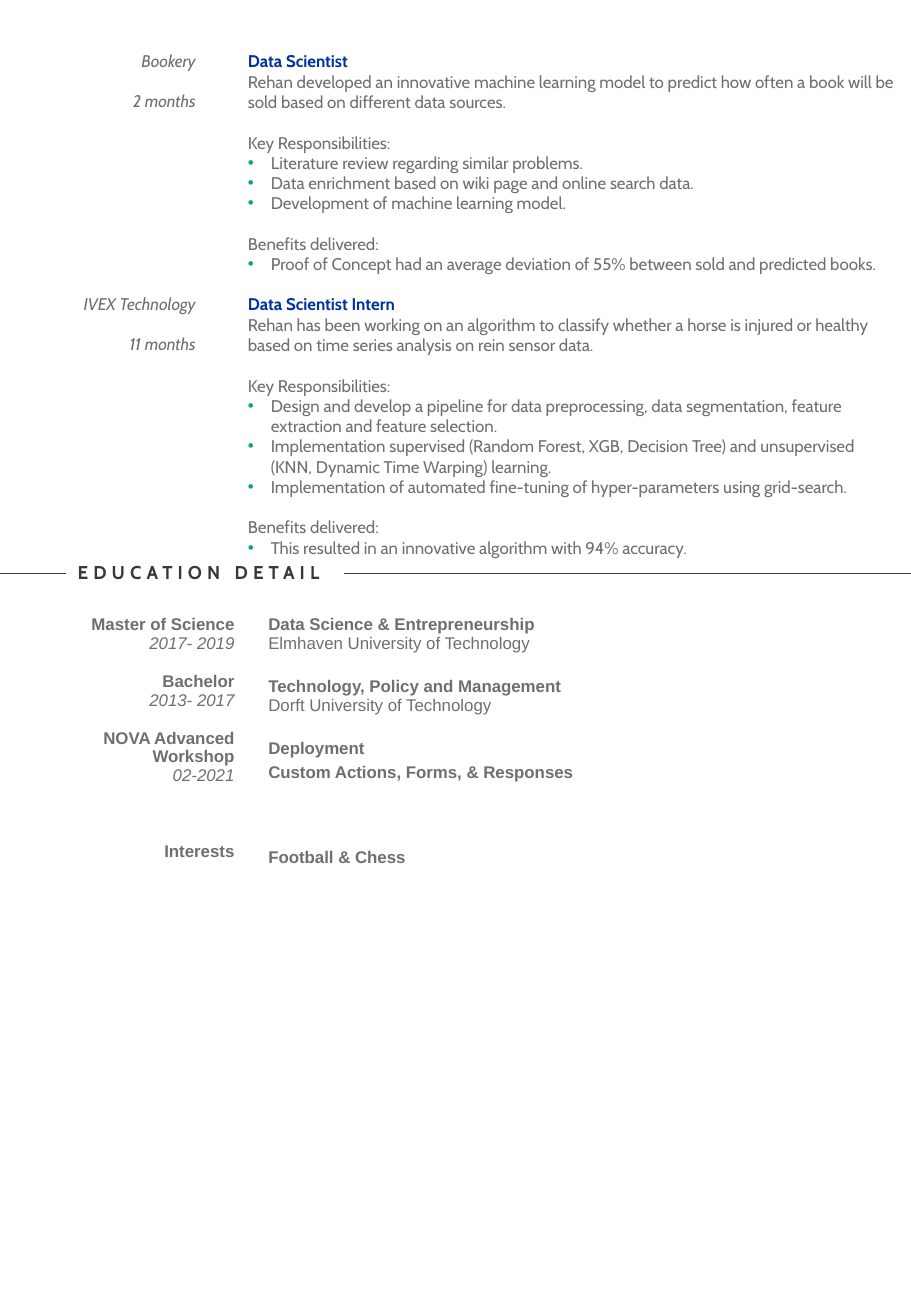
import pptx
import pptx.util
import pptx.dml.color
import pptx.enum.shapes
import pptx.enum.text
import pptx.oxml
import pptx.oxml.ns
from pptx.util import Cm, Pt

# Content
JOBS = [
    {"firm": "Bookery", "time": "2 months", "top": 0.94, "high": 5.38,
     "role": "Data Scientist",
     "about": "Rehan developed an innovative machine learning model to predict "
              "how often a book will be sold based on different data sources.",
     "lists": [
         ("Key Responsibilities:", [
             "Literature review regarding similar problems.",
             "Data enrichment based on wiki page and online search data.",
             "Development of machine learning model."]),
         ("Benefits delivered:", [
             "Proof of Concept had an average deviation of 55% between sold "
             "and predicted books."])]},
    {"firm": "IVEX Technology", "time": "11 months", "top": 6.02, "high": 5.82,
     "role": "Data Scientist Intern",
     "about": "Rehan has been working on an algorithm to classify whether a horse "
              "is injured or healthy based on time series analysis on rein sensor data.",
     "lists": [
         ("Key Responsibilities:", [
             "Design and develop a pipeline for data preprocessing, data "
             "segmentation, feature extraction and feature selection.",
             "Implementation supervised (Random Forest, XGB, Decision Tree) and "
             "unsupervised (KNN, Dynamic Time Warping) learning.",
             "Implementation of automated fine-tuning of hyper-parameters using "
             "grid-search."]),
         ("Benefits delivered:", [
             "This resulted in an innovative algorithm with 94% accuracy."])]},
]
HEAD = "EDUCATION DETAIL"
# Each line: text, style, space before in points
LEFT = [
    ("Master of Science", "bold", 0), ("2017- 2019", "slant", 0),
    ("Bachelor", "bold", 11.2), ("2013- 2017", "slant", 0),
    ("NOVA Advanced Workshop", "bold", 11.2), ("02-2021", "slant", 0),
    ("Interests", "bold", 33.5),
]
RIGHT = [
    ("Data Science & Entrepreneurship", "bold", 0),
    ("Elmhaven University of Technology", "plain", 0),
    ("Technology, Policy and Management", "bold", 14.2),
    ("Dorft University of Technology", "plain", 0),
    ("Deployment", "bold", 14.2),
    ("Custom Actions, Forms, & Responses", "bold", 3),
    ("Football & Chess", "bold", 39.6),
]

# Formats
HEX = {"blue": "0033A0", "gray": "706F6F", "dark": "383838",
       "teal": "00A68B", "white": "FFFFFF"}
BASE = {"size": Pt(10), "bold": False, "italic": False}
CABIN = {**BASE, "name": "Cabin"}
ARIAL = {**BASE, "name": "Arial"}
STYLE = {"plain": {}, "bold": {"bold": True}, "slant": {"italic": True}}
ALIGN = pptx.enum.text.PP_ALIGN
ANCHOR = pptx.enum.text.MSO_ANCHOR
WIDE, HIGH = Cm(19.05), Cm(27.51)
HANG = Cm(0.48)
GAP = 12


def rgb(key):
    return pptx.dml.color.RGBColor.from_string(HEX[key])


def put(item, look):
    for key, val in look.items():
        setattr(item, key, val)


def place(shape, x, y, w, h):
    put(shape, {"left": x, "top": y, "width": w, "height": h})


def xml(tag, tail="/>"):
    return pptx.oxml.parse_xml(f"<a:{tag} {pptx.oxml.ns.nsdecls('a')}{tail}")


def write(frame, text, look, color="gray", before=0, align=ALIGN.LEFT):
    """Fill the first paragraph if it is empty, otherwise add one."""
    para = frame.paragraphs[0]
    if para.runs:
        para = frame.add_paragraph()
    put(para, {"alignment": align, "space_before": Pt(before), "space_after": Pt(0)})
    run = para.add_run()
    run.text = text
    put(run.font, look)
    run.font.color.rgb = rgb(color)
    return para


def mark(para, dot):
    """Give a list paragraph a hanging bullet, or none."""
    props = para._p.get_or_add_pPr()
    props.set("marL", str(HANG if dot else 0))
    props.set("indent", str(-HANG if dot else 0))
    if dot:
        props.append(xml("buClr", f'><a:srgbClr val="{HEX["teal"]}"/></a:buClr>'))
        props.append(xml("buFont", ' typeface="Arial"/>'))
        props.append(xml("buChar", ' char="•"/>'))
    else:
        props.append(xml("buNone"))


def rule(slide, x, end, y):
    line = slide.shapes.add_connector(
        pptx.enum.shapes.MSO_CONNECTOR.STRAIGHT, x, y, end, y)
    line.line.color.rgb = rgb("dark")
    line.line.width = Pt(0.5)
    line._element.spPr.append(xml("effectLst"))
    return line


def side(slide, text, top):
    box = slide.shapes.add_textbox(0, top, Cm(4.34), Cm(0.69))
    box.text_frame.word_wrap = True
    write(box.text_frame, text, {**CABIN, "italic": True}, align=ALIGN.RIGHT)


def work(slide, body, job):
    place(body, Cm(4.93), Cm(job["top"]), Cm(14.12), Cm(job["high"]))
    frame = body.text_frame
    put(frame, {"auto_size": pptx.enum.text.MSO_AUTO_SIZE.NONE,
                "word_wrap": True, "vertical_anchor": ANCHOR.TOP})
    mark(write(frame, job["role"], {**CABIN, "bold": True}, "blue"), False)
    mark(write(frame, job["about"], CABIN), False)
    for name, points in job["lists"]:
        mark(write(frame, name, CABIN, before=GAP), False)
        for point in points:
            mark(write(frame, point, CABIN), True)
    side(slide, job["firm"], Cm(job["top"]))
    side(slide, job["time"], Cm(job["top"] + 0.84))


def study(slide):
    cols, rows = (5, 13.39), (6.05, 1.6)
    grid = slide.shapes.add_table(
        2, 2, 0, Cm(12.47), Cm(sum(cols)), Cm(sum(rows))).table
    put(grid, {"first_row": False, "horz_banding": False})
    for i, size in enumerate(cols):
        grid.columns[i].width = Cm(size)
    for i, size in enumerate(rows):
        grid.rows[i].height = Cm(size)
    for cell in grid.iter_cells():
        cell.fill.background()
    parts = [(LEFT, ALIGN.RIGHT, 0.4, 0.1), (RIGHT, ALIGN.LEFT, 0.61, 0.13)]
    for i, (lines, align, start, end) in enumerate(parts):
        cell = grid.cell(0, i)
        put(cell, {"margin_left": Cm(start), "margin_right": Cm(end),
                   "margin_top": Cm(0.4), "margin_bottom": Cm(0.1),
                   "vertical_anchor": ANCHOR.TOP})
        for text, style, before in lines:
            write(cell.text_frame, text, {**ARIAL, **STYLE[style]},
                  before=before, align=align)


def main():
    deck = pptx.Presentation()
    put(deck, {"slide_width": WIDE, "slide_height": HIGH})
    slide = deck.slides.add_slide(deck.slide_layouts[3])

    # Education table
    study(slide)

    # Section heading between two rules
    title = slide.shapes.title
    place(title, Cm(1.37), Cm(11.48), Cm(6.1), Cm(1.02))
    title.fill.solid()
    title.fill.fore_color.rgb = rgb("white")
    put(title.text_frame, {"auto_size": pptx.enum.text.MSO_AUTO_SIZE.NONE,
                           "word_wrap": True, "vertical_anchor": ANCHOR.MIDDLE})
    para = write(title.text_frame, HEAD,
                 {**CABIN, "size": Pt(11), "bold": True}, "dark")
    para.line_spacing = 0.9
    para.runs[0].font._element.set("spc", "300")
    mid = title.top + title.height // 2
    rule(slide, Cm(7.19), WIDE, mid)
    rule(slide, 0, title.left, mid).end_connect(title, 1)

    # Work experience
    for i, job in enumerate(JOBS):
        work(slide, slide.placeholders[i + 1], job)

    deck.save("out.pptx")


if __name__ == "__main__":
    main()
